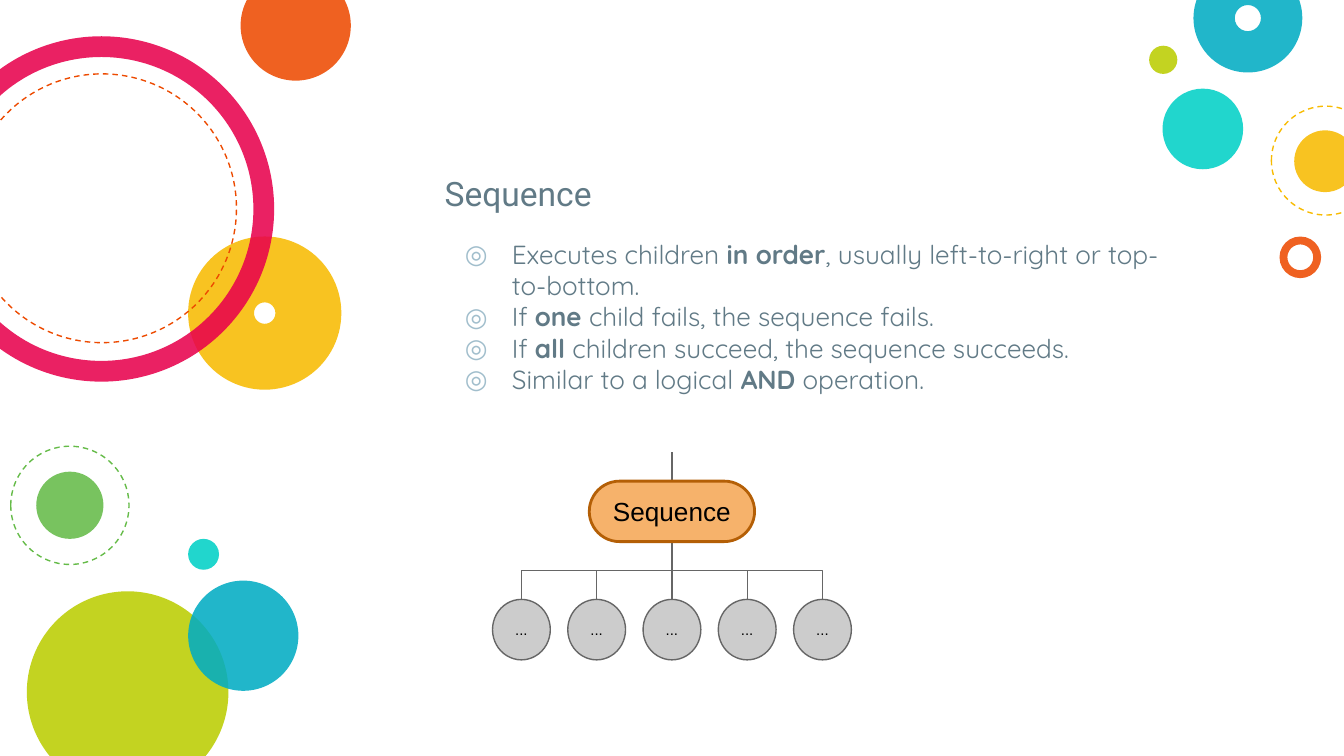
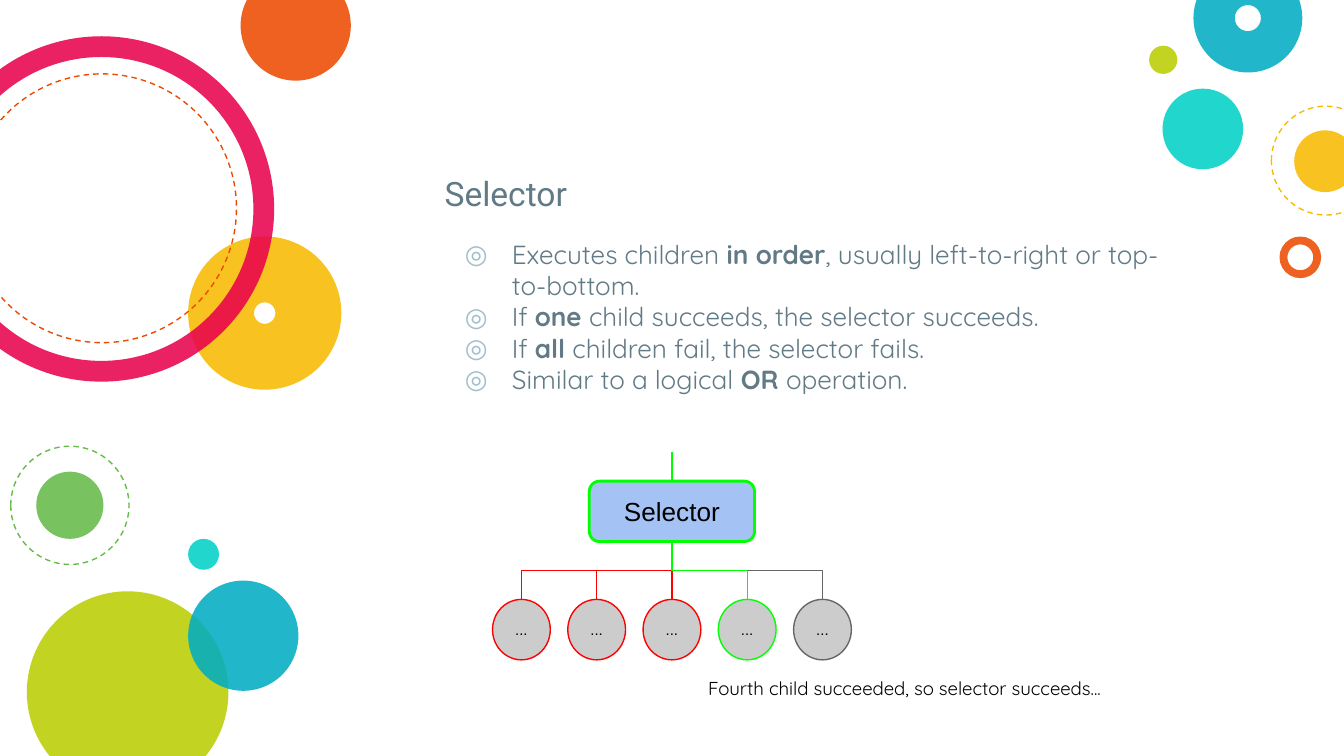
import lxml.etree
import pptx
import pptx.util
import pptx.dml.color
import pptx.enum.dml
import pptx.enum.shapes
import pptx.enum.text
import pptx.oxml.ns

SHAPE = pptx.enum.shapes.MSO_SHAPE
CONNECTOR = pptx.enum.shapes.MSO_CONNECTOR
ANCHOR = pptx.enum.text.MSO_ANCHOR
ALIGN = pptx.enum.text.PP_ALIGN
qn = pptx.oxml.ns.qn
inch = pptx.util.Inches

COLORS = {
    "turquoise": "00D1C6", "lime": "BBCD00", "green": "65BB48",
    "yellow": "F8BB00", "orange": "ED4A00", "pink": "E8004C",
    "blue": "00ACC3", "slate": "617A86", "bullet": "A1BECC",
    "black": "000000", "node": "CCCCCC",
    "idle": "666666", "failed": "FF0000", "succeeded": "00FF00",
    "sequence": "F6B26B", "sequence edge": "B45F06", "selector": "A4C2F4",
}

# Content: ** switches bold on and off
SLIDES = [
    {
        "title": "Sequence",
        "points": [
            "Executes children **in order**, usually left-to-right or top-to-bottom.",
            "If **one **child fails, the sequence fails.",
            "If **all** children succeed, the sequence succeeds.",
            "Similar to a logical **AND** operation.",
        ],
        "root": (SHAPE.ROUND_2_SAME_RECTANGLE, (0.5, 0.5), "sequence", "sequence edge"),
        "status": "idle",
        "children": ["idle"] * 5,
        "caption": None,
    },
    {
        "title": "Selector",
        "points": [
            "Executes children **in order**, usually left-to-right or top-to-bottom.",
            "If **one **child succeeds, the selector succeeds.",
            "If **all** children fail, the selector fails.",
            "Similar to a logical **OR **operation.",
        ],
        "root": (SHAPE.ROUNDED_RECTANGLE, (0.17,), "selector", "succeeded"),
        "status": "succeeded",
        "children": ["failed"] * 3 + ["succeeded", "idle"],
        "caption": "Fourth child succeeded, so selector succeeds...",
    },
]

# Decoration: kind, left, top, diameter, color, ring thickness
CIRCLES = [
    ("disc", 1.4, 4.01, 0.23, "turquoise", None),
    ("disc", 0.2, 4.4, 1.5, "lime", None),
    ("disc", 0.27, 3.51, 0.5, "green", None),
    ("dashed", 0.08, 3.32, 0.88, "green", None),
    ("ring", 1.4, 1.76, 1.14, "yellow", 0.43),
    ("disc", 1.79, -0.22, 0.82, "orange", None),
    ("ring", -0.53, 0.27, 2.57, "pink", 0.06),
    ("dashed", -0.24, 0.55, 2, "orange", None),
    ("disc", 1.4, 4.32, 0.82, "blue", None),
    ("disc", 8.65, 0.66, 0.6, "turquoise", None),
    ("ring", 9.52, 1.76, 0.31, "orange", 0.19),
    ("disc", 9.63, 0.97, 0.46, "yellow", None),
    ("ring", 8.88, -0.27, 0.81, "blue", 0.38),
    ("disc", 8.55, 0.34, 0.21, "lime", None),
    ("dashed", 9.46, 0.79, 0.81, "yellow", None),
]

# Text styles and places
STYLES = {
    "title": {"name": "Roboto", "size": 18, "color": "slate"},
    "body": {"name": "Quicksand", "size": 14, "color": "slate"},
    "root": {"name": "Arial", "size": 14, "color": "black"},
    "child": {"name": "Arial", "size": 8, "color": "black"},
    "caption": {"name": "Quicksand", "size": 10, "color": "black"},
}
TITLE_AREA = (3.21, 0.99, 5.77, 0.7)
BODY_AREA = (3.21, 1.67, 5.75, 1.78)
CAPTION_AREA = (5.17, 4.95, 3.49, 0.27)

# Tree measures
WIDTH = 10
HEIGHT = WIDTH * 9 / 16
CENTER = WIDTH / 2
STEM_TOP, ROOT_TOP, CHILD_TOP = 3.36, 3.58, 4.46
ROOT_WIDTH, CHILD_WIDTH, NODE_HEIGHT = 1.23, 0.43, 0.45
CHILD_PITCH = 0.56
ROOT_BOTTOM = ROOT_TOP + NODE_HEIGHT


def rgb(name):
    return pptx.dml.color.RGBColor.from_string(COLORS[name])


def style_font(font, style):
    values = {**STYLES[style], "size": pptx.util.Pt(STYLES[style]["size"])}
    font.color.rgb = rgb(values.pop("color"))
    for key, value in values.items():
        setattr(font, key, value)


def set_frame(box, anchor):
    frame = box.text_frame
    values = {"word_wrap": True, "vertical_anchor": anchor}
    values.update({f"margin_{side}": inch(0.1) for side in ("left", "top", "right", "bottom")})
    for key, value in values.items():
        setattr(frame, key, value)
    return frame


def write(box, text, style, anchor=ANCHOR.TOP, align=ALIGN.LEFT):
    para = set_frame(box, anchor).paragraphs[0]
    para.alignment = align
    span = para.add_run()
    span.text = text
    style_font(span.font, style)


def add_text(page, area, text, style, anchor=ANCHOR.TOP):
    write(page.shapes.add_textbox(*map(inch, area)), text, style, anchor)


def add_shape(page, kind, area, fill=None, edge=None, weight=0.75, adjust=()):
    shape = page.shapes.add_shape(kind, *map(inch, area))
    shape.shadow.inherit = False
    for index, value in enumerate(adjust):
        shape.adjustments[index] = value
    if fill:
        shape.fill.solid()
        shape.fill.fore_color.rgb = rgb(fill)
    else:
        shape.fill.background()
    if edge:
        shape.line.color.rgb = rgb(edge)
        shape.line.width = pptx.util.Pt(weight)
    else:
        shape.line.fill.background()
    return shape


def add_link(page, kind, points, color):
    link = page.shapes.add_connector(kind, *map(inch, points))
    link.line.color.rgb = rgb(color)
    link.line.width = pptx.util.Pt(0.75)
    lxml.etree.SubElement(link.element.spPr, qn("a:effectLst"))
    return link


def add_circles(page):
    for kind, left, top, size, color, thickness in CIRCLES:
        area = (left, top, size, size)
        if kind == "dashed":
            circle = add_shape(page, SHAPE.OVAL, area, edge=color)
            circle.line.dash_style = pptx.enum.dml.MSO_LINE.DASH
            continue
        preset, adjust = (SHAPE.DONUT, (thickness,)) if kind == "ring" else (SHAPE.OVAL, ())
        circle = add_shape(page, preset, area, fill=color, adjust=adjust)
        tint = circle.element.spPr.find(".//" + qn("a:srgbClr"))
        lxml.etree.SubElement(tint, qn("a:alpha"), val="87000")


def add_points(page, points):
    box = page.shapes.add_textbox(*map(inch, BODY_AREA))
    frame = set_frame(box, ANCHOR.TOP)
    for index, point in enumerate(points):
        para = frame.add_paragraph() if index else frame.paragraphs[0]
        props = para._p.get_or_add_pPr()
        props.set("marL", str(inch(0.5)))
        props.set("indent", str(inch(-0.35)))
        tint = lxml.etree.SubElement(props, qn("a:buClr"))
        lxml.etree.SubElement(tint, qn("a:srgbClr"), val=COLORS["bullet"])
        lxml.etree.SubElement(props, qn("a:buFont"), typeface=STYLES["body"]["name"])
        lxml.etree.SubElement(props, qn("a:buChar"), char="◎")
        for part, text in enumerate(point.split("**")):
            span = para.add_run()
            span.text = text
            style_font(span.font, "body")
            span.font.bold = part % 2 == 1


def add_branch(page, x, color):
    # An elbow leaves sideways, so it is laid flat and turned to run downwards
    drop, reach = CHILD_TOP - ROOT_BOTTOM, abs(x - CENTER)
    middle_x, middle_y = (x + CENTER) / 2, (ROOT_BOTTOM + CHILD_TOP) / 2
    to_left = x < CENTER
    half = drop / 2 if to_left else -drop / 2
    points = (middle_x - half, middle_y - reach / 2, middle_x + half, middle_y + reach / 2)
    link = add_link(page, CONNECTOR.ELBOW, points, color)
    link.element.spPr.find(qn("a:xfrm")).set("rot", str((90 if to_left else 270) * 60000))


def add_tree(page, content):
    centers = [CENTER + (i - 2) * CHILD_PITCH for i in range(len(content["children"]))]
    children = list(zip(centers, content["children"]))

    # Child nodes
    for x, status in children:
        area = (x - CHILD_WIDTH / 2, CHILD_TOP, CHILD_WIDTH, NODE_HEIGHT)
        node = add_shape(page, SHAPE.OVAL, area, "node", status)
        write(node, "...", "child", ANCHOR.MIDDLE, ALIGN.CENTER)

    # Links, with the idle ones at the back
    add_link(page, CONNECTOR.STRAIGHT, (CENTER, ROOT_TOP, CENTER, STEM_TOP), content["status"])
    for x, status in sorted(children, key=lambda child: child[1] != "idle"):
        add_branch(page, x, status)

    # Root node
    preset, adjust, fill, edge = content["root"]
    area = (CENTER - ROOT_WIDTH / 2, ROOT_TOP, ROOT_WIDTH, NODE_HEIGHT)
    root = add_shape(page, preset, area, fill, edge, 1.5, adjust)
    write(root, content["title"], "root", ANCHOR.MIDDLE, ALIGN.CENTER)


def main():
    deck = pptx.Presentation()
    deck.slide_width, deck.slide_height = inch(WIDTH), inch(HEIGHT)
    for content in SLIDES:
        page = deck.slides.add_slide(deck.slide_layouts[6])
        add_circles(page)
        add_text(page, TITLE_AREA, content["title"], "title", ANCHOR.BOTTOM)
        add_points(page, content["points"])
        add_tree(page, content)
        if content["caption"]:
            add_text(page, CAPTION_AREA, content["caption"], "caption")
    deck.save("out.pptx")


if __name__ == "__main__":
    main()
